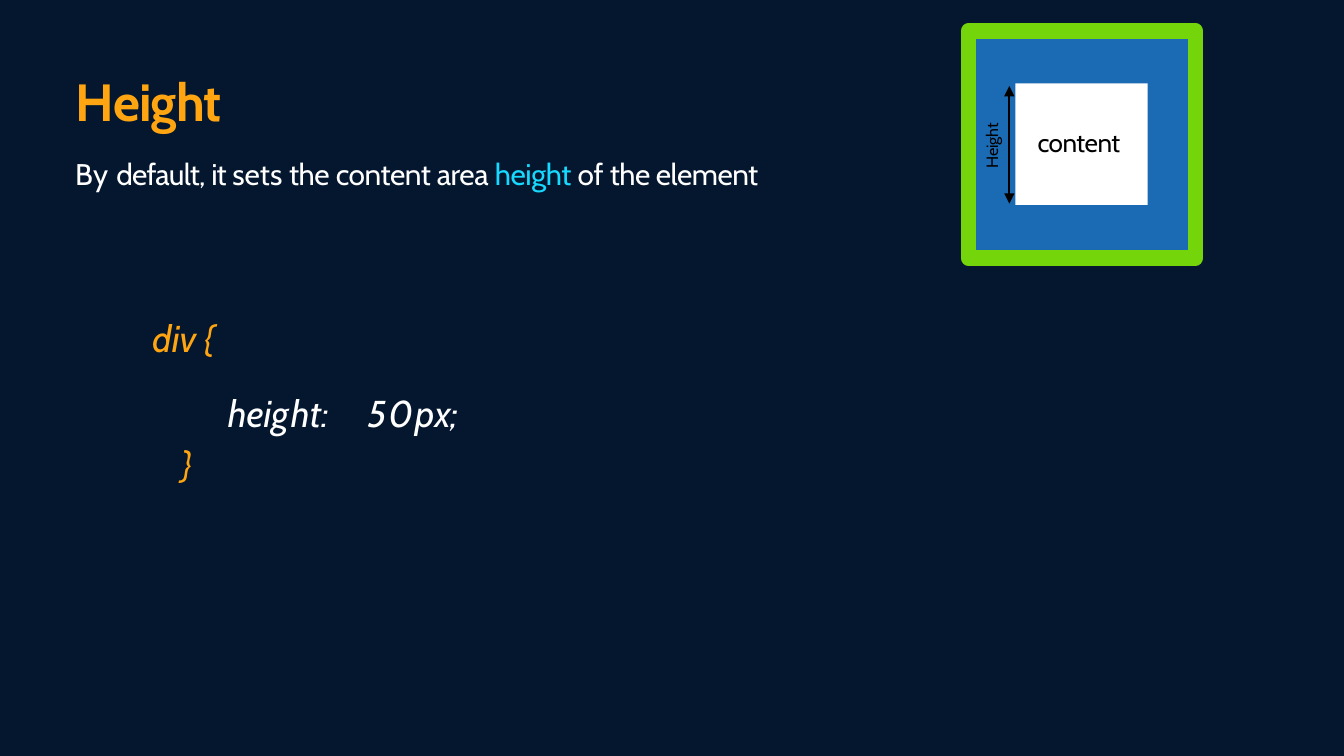
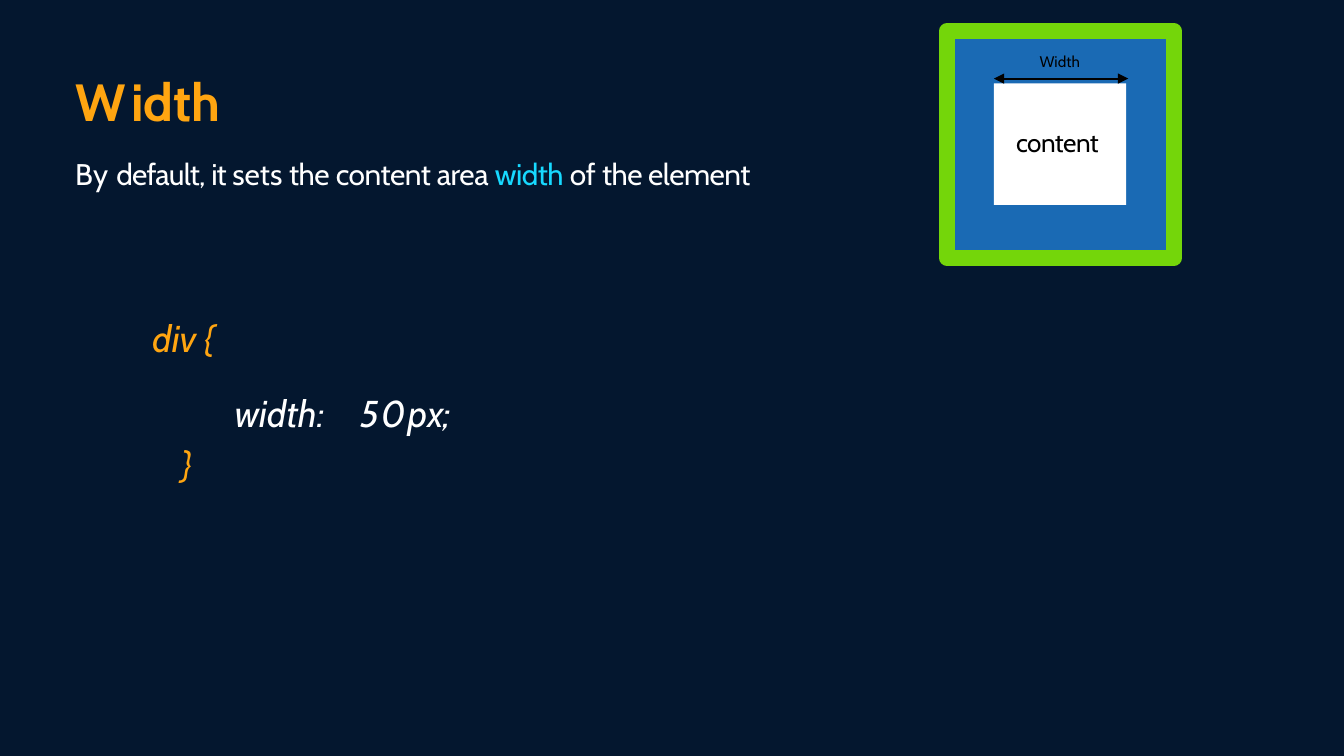
from lxml.etree import SubElement
from pptx import Presentation
from pptx.dml.color import RGBColor
from pptx.enum.shapes import MSO_CONNECTOR, MSO_SHAPE
from pptx.enum.text import MSO_ANCHOR, PP_ALIGN
from pptx.oxml.ns import qn
from pptx.util import Inches, Pt

COLORS = {
    "night": "04172F",
    "orange": "FFA511",
    "cyan": "17D9FF",
    "white": "FFFFFF",
    "black": "000000",
    "padding": "1A6AB4",
    "border": "74D60A",
}
FONT = "Cabin"
COLUMNS, ROWS = 20, 11.25
CELL = Inches(1)
MODEL_TOP, MODEL_SIDE = 0.46, 3.38
CONTENT_SHIFT, CONTENT_TOP = 0.7, 1.24
CONTENT_WIDTH, CONTENT_HEIGHT = 1.97, 1.81


def grid(*cells):
    """Turn columns and rows of the slide grid into lengths."""
    return [int(cell * CELL) for cell in cells]


def rgb(name):
    """Look up a colour of the palette."""
    return RGBColor.from_string(COLORS[name])


def write(shape, runs, size, color="white", bold=False, italic=False, left=0.01,
          top=0.01, bottom=0, anchor=MSO_ANCHOR.TOP, vert=None, tab=None):
    """Write runs of (text, spacing in points, optional colour) into a shape."""
    frame = shape.text_frame
    frame.word_wrap = True
    frame.vertical_anchor = anchor
    frame.margin_left, frame.margin_top, frame.margin_bottom = grid(left, top, bottom)
    frame.margin_right = 0
    if vert:
        frame._txBody.bodyPr.set("vert", vert)
    paragraph = frame.paragraphs[0]
    paragraph.alignment = PP_ALIGN.LEFT
    if tab:
        stops = SubElement(paragraph._p.get_or_add_pPr(), qn("a:tabLst"))
        SubElement(stops, qn("a:tab"), pos=str(grid(tab)[0]), algn="l")
    for text, spacing, *accent in runs:
        run = paragraph.add_run()
        run.text = text
        font = run.font
        font.name, font.size, font.bold, font.italic = FONT, Pt(size), bold, italic
        font.color.rgb = rgb(accent[0] if accent else color)
        run._r.get_or_add_rPr().set("spc", str(round(spacing * 100)))


def add_text(slide, box, runs, size, **style):
    """Place a text box on the grid and write into it."""
    write(slide.shapes.add_textbox(*grid(*box)), runs, size, **style)


def add_area(slide, box, fill, border=None):
    """Draw one rectangular area of the box model."""
    area = slide.shapes.add_shape(MSO_SHAPE.RECTANGLE, *grid(*box))
    area.shadow.inherit = False
    area.fill.solid()
    area.fill.fore_color.rgb = rgb(fill)
    if border:
        area.line.color.rgb = rgb(border)
        area.line.width = Pt(16.5)
    else:
        area.line.fill.background()
    return area


def add_measure(slide, start, end):
    """Draw a measuring arrow with a head at both ends."""
    measure = slide.shapes.add_connector(MSO_CONNECTOR.STRAIGHT, *grid(*start, *end))
    measure.line.color.rgb = rgb("black")
    measure.line.width = Pt(2.2)
    line = measure.line._get_or_add_ln()
    for tip in ("a:headEnd", "a:tailEnd"):
        SubElement(line, qn(tip), type="triangle", w="lg", len="lg")
    SubElement(measure._element.spPr, qn("a:effectLst"))


def add_box_model(slide, left):
    """Draw the border, padding and content areas."""
    add_area(slide, (left, MODEL_TOP, MODEL_SIDE, MODEL_SIDE), "padding", "border")
    content = add_area(slide, (left + CONTENT_SHIFT, CONTENT_TOP,
                               CONTENT_WIDTH, CONTENT_HEIGHT), "white")
    write(content, [("content", -0.5)], 28, color="black", left=0.33,
          bottom=0.06, anchor=MSO_ANCHOR.MIDDLE)


def add_property_slide(deck, title, keyword, declaration, declaration_left, tab, model_left):
    """Add a slide that explains one CSS property."""
    slide = deck.slides.add_slide(deck.slide_layouts[6])
    add_text(slide, (1.12, 1.02, 2.33, 0.96), title, 56, color="orange", bold=True)
    summary = [("By ", 0.7), ("default, ", -0.9), ("it ", -1.2), ("sets ", 0),
               ("the ", -0.6), ("content area ", -0.5), (*keyword, "cyan"),
               ("of ", -0.3), ("the element", -0.6)]
    add_text(slide, (1.11, 2.3, 10.97, 0.56), summary, 32)
    code = {"size": 40, "italic": True}
    selector = [("d", 0.1), ("i", -2.3), ("v ", -0.6), ("{", -2.8)]
    add_text(slide, (2.26, 4.68, 1.06, 0.69), selector, color="orange", **code)
    value = [(":\t", -1.5), ("50", 2), ("p", 0.1), ("x", -1.1), (";", -1.1)]
    add_text(slide, (declaration_left, 5.8, 13.38 - declaration_left, 0.69),
             declaration + value, left=0.04, tab=tab, **code)
    add_text(slide, (2.69, 6.55, 0.19, 0.69), [("}", -2.8)], color="orange", **code)
    add_box_model(slide, model_left)
    return slide


def add_height_slide(deck):
    """Add the slide about height, measured beside the content."""
    left = 14.41
    slide = add_property_slide(
        deck, [("Height", -0.9)], ("height ", -0.5),
        [("h", 0), ("e", -1.1), ("i", -2.3), ("g", 2.3), ("h", 0), ("t", -2.9)],
        declaration_left=3.35, tab=2.08, model_left=left)
    axis = left + CONTENT_SHIFT - 0.09
    add_measure(slide, (axis, 1.28), (axis, 3.03))
    add_text(slide, (left + 0.2, 1.78, 0.32, 0.74), [("Height", -0.1)], 17.5,
             color="black", left=0, top=0, bottom=0.01, vert="vert270")


def add_width_slide(deck):
    """Add the slide about width, measured above the content."""
    left = 14.09
    slide = add_property_slide(
        deck, [("W", 5.2), ("i", -2.2), ("d", -0.6), ("t", -1.6), ("h", -1.2)],
        ("width ", -0.6),
        [("w", -1.6), ("i", -2.3), ("d", 0.1), ("t", -2.9), ("h", 0)],
        declaration_left=3.45, tab=1.87, model_left=left)
    start, axis = left + CONTENT_SHIFT, CONTENT_TOP - 0.07
    add_measure(slide, (start, axis), (start + 2, axis))
    add_text(slide, (left + 1.37, 0.77, 0.65, 0.3), [("Width", 0.1)], 16.5, color="black")


def main():
    """Build the deck and save it."""
    deck = Presentation()
    deck.slide_width, deck.slide_height = grid(COLUMNS, ROWS)
    backdrop = deck.slide_master.background.fill
    backdrop.solid()
    backdrop.fore_color.rgb = rgb("night")
    add_height_slide(deck)
    add_width_slide(deck)
    deck.save("out.pptx")


if __name__ == "__main__":
    main()
